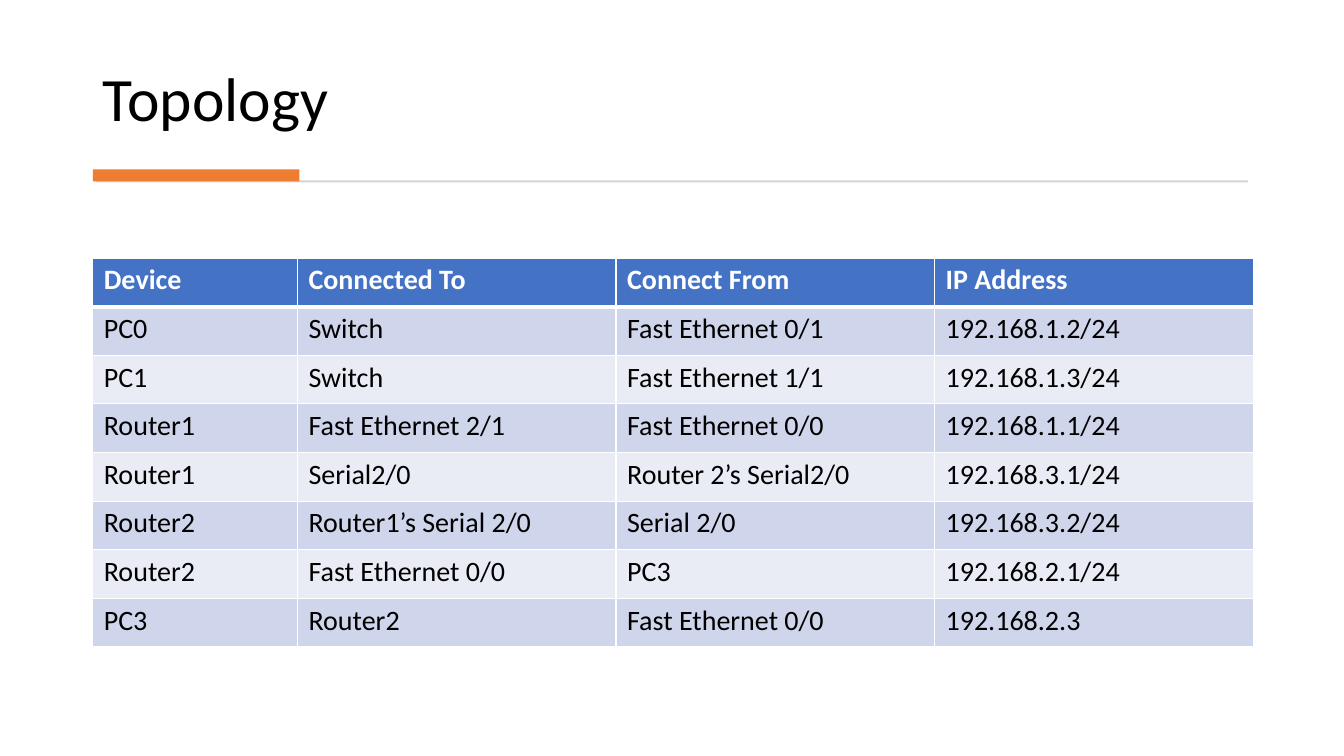
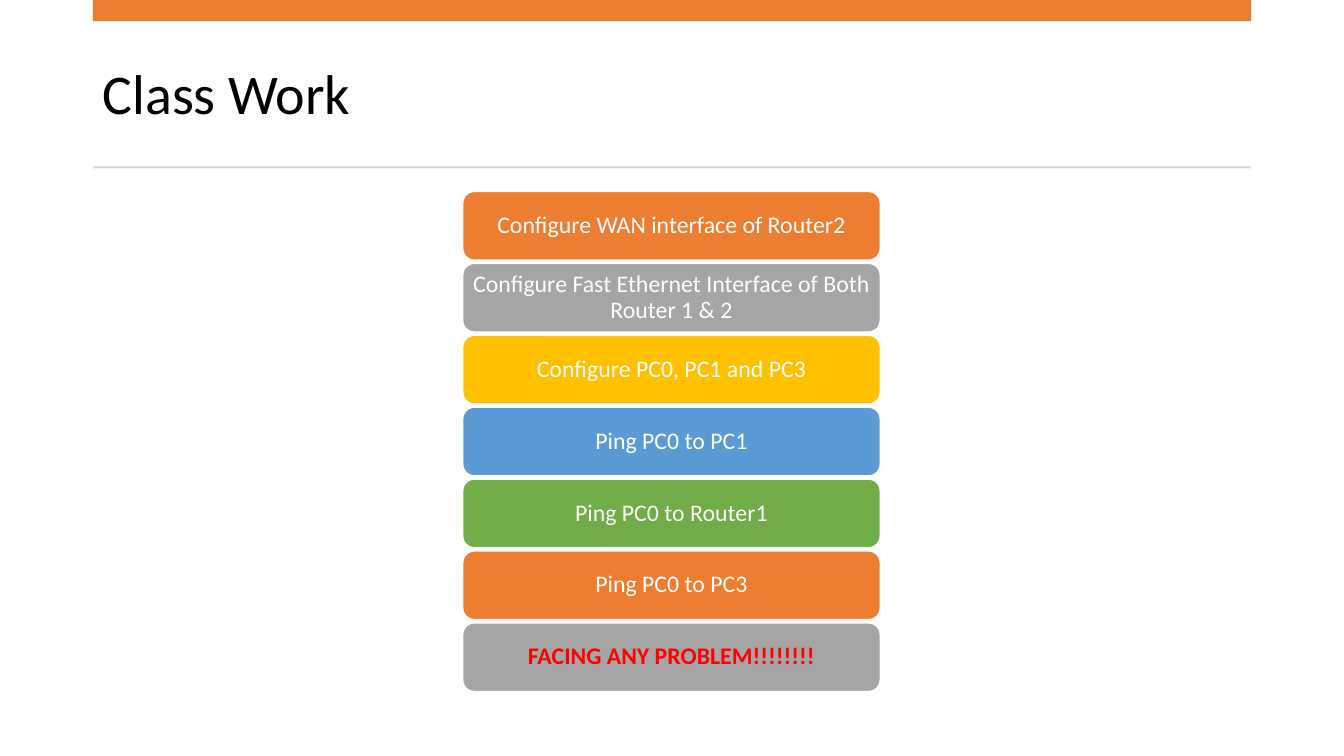
from lxml.etree import SubElement
from pptx import Presentation
from pptx.dml.color import RGBColor
from pptx.enum.shapes import MSO_SHAPE as Shape
from pptx.enum.text import MSO_ANCHOR as Anchor, PP_ALIGN as Align
from pptx.oxml.ns import qn
from pptx.util import Inches, Pt

# Content
TOPOLOGY = [
    ("Device", "Connected To", "Connect From", "IP Address"),
    ("PC0", "Switch", "Fast Ethernet 0/1", "192.168.1.2/24"),
    ("PC1", "Switch", "Fast Ethernet 1/1", "192.168.1.3/24"),
    ("Router1", "Fast Ethernet 2/1", "Fast Ethernet 0/0", "192.168.1.1/24"),
    ("Router1", "Serial2/0", "Router 2’s Serial2/0", "192.168.3.1/24"),
    ("Router2", "Router1’s Serial 2/0", "Serial 2/0", "192.168.3.2/24"),
    ("Router2", "Fast Ethernet 0/0", "PC3", "192.168.2.1/24"),
    ("PC3", "Router2", "Fast Ethernet 0/0", "192.168.2.3"),
]
TASKS = [
    "Configure WAN interface of Router2",
    "Configure Fast Ethernet Interface of Both Router 1 & 2",
    "Configure PC0, PC1 and PC3",
    "Ping PC0 to PC1",
    "Ping PC0 to Router1",
    "Ping PC0 to PC3",
    "FACING ANY PROBLEM!!!!!!!!",
]

# Shared style
FONT = "Calibri"
BLACK, WHITE, RED = "000000", "FFFFFF", "FF0000"
ACCENT, RULE = "ED7D31", "D5D5D5"
HEADER, BANDS = "4472C4", ("E9EBF5", "CFD5EA")
TASK_COLOURS = (ACCENT, "A5A5A5", "FFC000", "5B9BD5", "70AD47")
LEFT, WIDTH = 0.92, 11.49

deck = Presentation()
deck.slide_width, deck.slide_height = Inches(13.33), Inches(7.5)


def paint(fill, colour):
    fill.solid()
    fill.fore_color.rgb = RGBColor.from_string(colour)


def write(frame, text, size, colour, bold=False, align=Align.LEFT, spacing=0.9):
    frame.text = text
    frame.word_wrap = True
    paragraph = frame.paragraphs[0]
    paragraph.alignment, paragraph.line_spacing = align, spacing
    font = paragraph.runs[0].font
    font.name, font.size, font.bold = FONT, Pt(size), bold
    font.color.rgb = RGBColor.from_string(colour)


def add_block(slide, box, colour, outline=None, kind=Shape.RECTANGLE):
    block = slide.shapes.add_shape(kind, *map(Inches, box))
    block.shadow.inherit = False
    paint(block.fill, colour)
    if outline:
        paint(block.line.fill, outline)
        block.line.width = Pt(1)
    else:
        block.line.fill.background()
    return block


def add_titled_slide(title, size, top, height, anchor, bars):
    slide = deck.slides.add_slide(deck.slide_layouts[6])
    heading = slide.shapes.add_textbox(*map(Inches, (LEFT, top, WIDTH, height)))
    write(heading.text_frame, title, size, BLACK)
    heading.text_frame.vertical_anchor = anchor
    for box, colour in bars:
        add_block(slide, box, colour)
    return slide


def add_borders(cell, bottom):
    properties = cell._tc.get_or_add_tcPr()
    for place, (side, points) in enumerate(
            (("lnL", 1), ("lnR", 1), ("lnT", 1), ("lnB", bottom))):
        border = SubElement(properties, qn("a:" + side), w=str(Pt(points)))
        solid = SubElement(border, qn("a:solidFill"))
        SubElement(solid, qn("a:srgbClr"), val=WHITE)
        properties.insert(place, border)  # borders come before the fill


# Slide 1: topology table
topology = add_titled_slide("Topology", 44, 0.28, 1.11, Anchor.BOTTOM, [
    ((0.95, 1.79, 11.43, 0.02), RULE),
    ((LEFT, 1.68, 2.05, 0.12), ACCENT),
])
COLUMNS, ROW_HEIGHT = (2.03, 3.16, 3.16, 3.16), 3.86 / len(TOPOLOGY)
table = topology.shapes.add_table(
    len(TOPOLOGY), len(COLUMNS), Inches(LEFT), Inches(2.56),
    Inches(sum(COLUMNS)), Inches(ROW_HEIGHT * len(TOPOLOGY))).table
for column, width in zip(table.columns, COLUMNS):
    column.width = Inches(width)
for r, entries in enumerate(TOPOLOGY):
    is_header = r == 0
    for c, entry in enumerate(entries):
        cell = table.cell(r, c)
        cell.margin_left = cell.margin_right = Inches(0.11)
        write(cell.text_frame, entry, 20, WHITE if is_header else BLACK,
              bold=is_header, spacing=1.0)
        paint(cell.fill, HEADER if is_header else BANDS[r % 2])
        add_borders(cell, bottom=3 if is_header else 1)

# Slide 2: stack of tasks
class_work = add_titled_slide("Class Work", 40, 0.37, 1.18, Anchor.MIDDLE, [
    ((LEFT, 0, WIDTH, 0.21), ACCENT),
    ((LEFT, 1.65, WIDTH, 0.02), RULE),
])
STACK_TOP, STACK_BOTTOM, TASK_HEIGHT = 1.9, 6.86, 0.68
step = (STACK_BOTTOM - STACK_TOP - TASK_HEIGHT) / (len(TASKS) - 1)
for i, task in enumerate(TASKS):
    is_last = i == len(TASKS) - 1
    block = add_block(class_work, (4.59, STACK_TOP + i * step, 4.14, TASK_HEIGHT),
                      TASK_COLOURS[i % len(TASK_COLOURS)], WHITE,
                      Shape.ROUNDED_RECTANGLE)
    frame = block.text_frame
    frame.margin_left = frame.margin_right = Inches(0.07)
    frame.margin_top = frame.margin_bottom = Inches(0.04)
    frame.vertical_anchor = Anchor.MIDDLE
    write(frame, task, 17, RED if is_last else WHITE, is_last, Align.CENTER)

deck.save("out.pptx")
